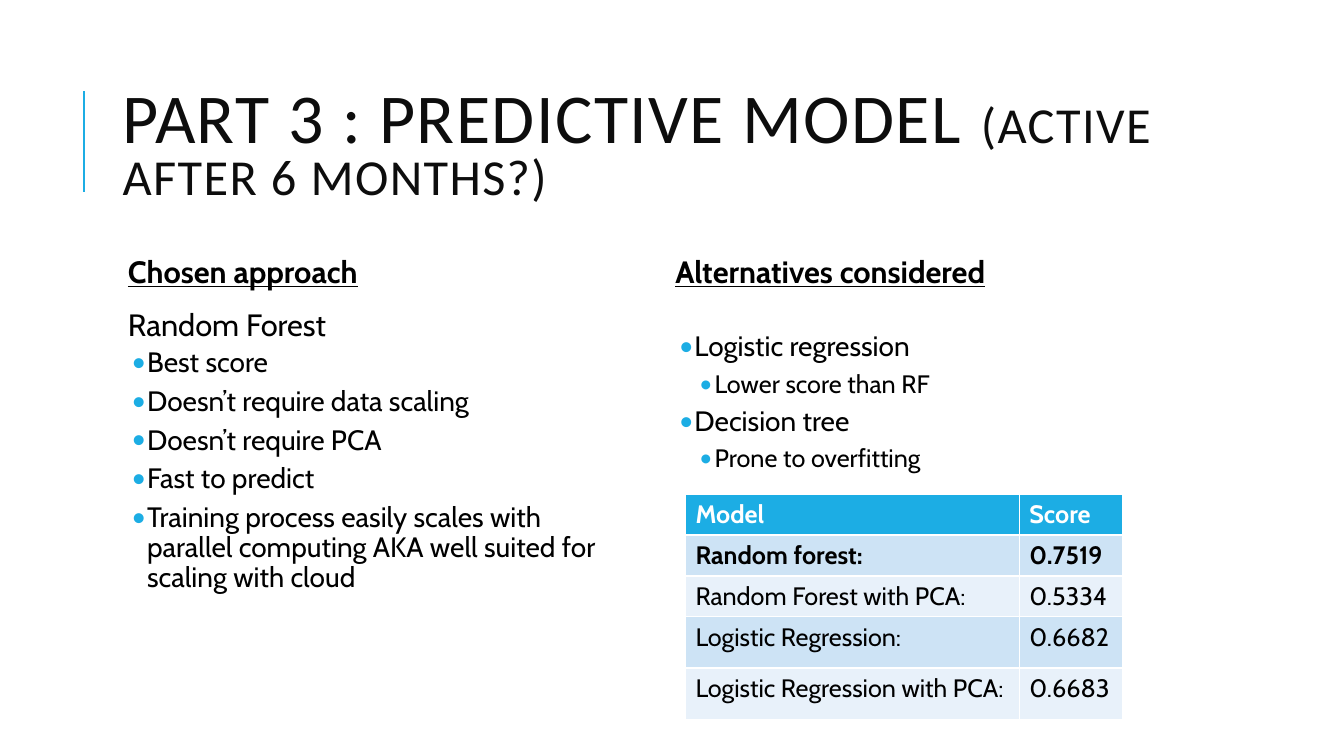
from copy import deepcopy

from lxml.etree import SubElement
from pptx import Presentation
from pptx.dml.color import RGBColor
from pptx.enum.shapes import MSO_CONNECTOR
from pptx.enum.text import MSO_ANCHOR
from pptx.oxml.ns import qn
from pptx.util import Pt

BLUE = "1CADE4"
BLACK = "000000"
LEVELS = {1: (20, 20.9), 2: (18, 35.3)}

CHOSEN = [
    (1, "Best score"),
    (1, "Doesn’t require data scaling"),
    (1, "Doesn’t require PCA"),
    (1, "Fast to predict"),
    (1, "Training process easily scales with parallel computing "
        "AKA well suited for scaling with cloud"),
]
ALTERNATIVES = [
    (1, "Logistic regression"),
    (2, "Lower score than RF"),
    (1, "Decision tree"),
    (2, "Prone to overfitting"),
]
SCORES = [
    ("Model", "Score"),
    ("Random forest:", "0.7519"),
    ("Random Forest with PCA:", "0.5334"),
    ("Logistic Regression:", "0.6682"),
    ("Logistic Regression with PCA:", "0.6683"),
]


def rgb(color):
    return RGBColor.from_string(color)


def add_text(p, text, size=18, color=BLACK, font="Cabin", bold=False,
             underline=False, spacing=0):
    r = p.add_run()
    r.text = text
    f = r.font
    f.name, f.size, f.bold, f.underline = font, Pt(size), bold, underline
    f.color.rgb = rgb(color)
    if spacing:
        r._r.get_or_add_rPr().set("spc", str(spacing * 100))
    return r


def add_box(s, x, y, w, h, inset):
    tf = s.shapes.add_textbox(Pt(x), Pt(y), Pt(w), Pt(h)).text_frame
    tf.word_wrap = True
    tf.margin_left = tf.margin_right = Pt(inset)
    tf.margin_top = tf.margin_bottom = Pt(3.6)
    return tf


def format_paragraph(p, left, before, after, bullet=False):
    p.line_spacing = 0.9
    p.space_before, p.space_after = Pt(before), Pt(after)
    pPr = p._p.get_or_add_pPr()
    pPr.set("marL", str(Pt(left)))
    if bullet:
        pPr.set("indent", str(Pt(-10.8)))
        color = SubElement(pPr, qn("a:buClr"))
        SubElement(color, qn("a:srgbClr"), val=BLUE)
        SubElement(pPr, qn("a:buFont"), typeface="Calibri")
        SubElement(pPr, qn("a:buChar"), char="•")


def draw_title(s, x, y, w, h):
    line = s.shapes.add_connector(MSO_CONNECTOR.STRAIGHT, Pt(x - 20.8),
                                  Pt(y + 90.7), Pt(x - 20.8), Pt(y + 18.7))
    line.line.color.rgb = rgb(BLUE)
    line.line.width = Pt(1.5)
    SubElement(line._element.spPr, qn("a:effectLst"))
    tf = add_box(s, x, y, w, h, 7.2)
    tf.vertical_anchor = MSO_ANCHOR.MIDDLE
    p = tf.paragraphs[0]
    p.line_spacing = 0.8
    for text, size in (("PART 3 : PREDICTIVE MODEL ", 50),
                       ("(ACTIVE AFTER 6 MONTHS?)", 36)):
        add_text(p, text, size=size, color="0D0D0D", font="Calibri", spacing=1)


def draw_column(s, x, y, w, h, heading, items, subheading=None):
    tf = add_box(s, x, y, w, h, 3.6)
    p = tf.paragraphs[0]
    format_paragraph(p, 7.2, 12, 2)
    r = add_text(p, heading, size=22, bold=True, underline=True)
    if subheading:
        p = tf.add_paragraph()
        format_paragraph(p, 7.2, 12, 2)
        add_text(p, subheading, size=22)
    else:
        p.add_line_break()
        p._p[-1].append(deepcopy(r._r.rPr))
    for level, text in items:
        size, left = LEVELS[level]
        p = tf.add_paragraph()
        p.level = level
        format_paragraph(p, left, 2, 4, bullet=True)
        add_text(p, text, size=size)


def draw_scores(s, x, y, w, h):
    table = s.shapes.add_table(len(SCORES), 2, Pt(x), Pt(y), Pt(w), Pt(h)).table
    for col, width in zip(table.columns, (w - 74, 74)):
        col.width = Pt(width)
    for i, (row, values) in enumerate(zip(table.rows, SCORES)):
        row.height = Pt(29.2 if i < 3 else 36.6)
        fill = BLUE if i == 0 else ("E8F1FA", "CDE3F5")[i % 2]
        for cell, value in zip(row.cells, values):
            cell.fill.solid()
            cell.fill.fore_color.rgb = rgb(fill)
            add_text(cell.text_frame.paragraphs[0], value, bold=i < 2,
                     color=BLACK if i else "FFFFFF")


def main():
    prs = Presentation()
    prs.slide_width, prs.slide_height = Pt(960), Pt(540)
    s = prs.slides.add_slide(prs.slide_layouts[6])
    draw_title(s, 80.6, 46.1, 765.4, 118)
    draw_column(s, 80.6, 180, 374.4, 316.8, "Chosen approach", CHOSEN,
                subheading="Random Forest")
    draw_column(s, 471.6, 180, 374.4, 316.8, "Alternatives considered",
                ALTERNATIVES)
    draw_scores(s, 489.6, 353, 312.5, 160.8)
    prs.save("out.pptx")


if __name__ == "__main__":
    main()
